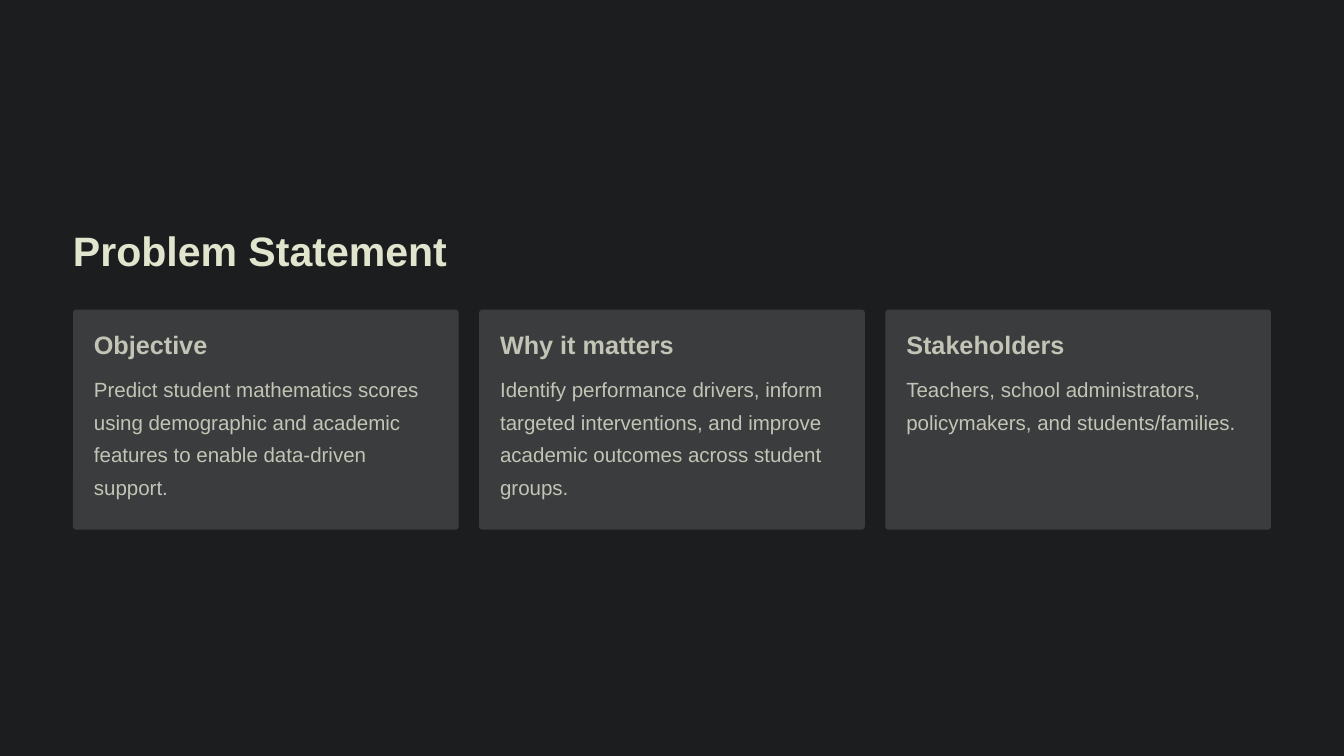
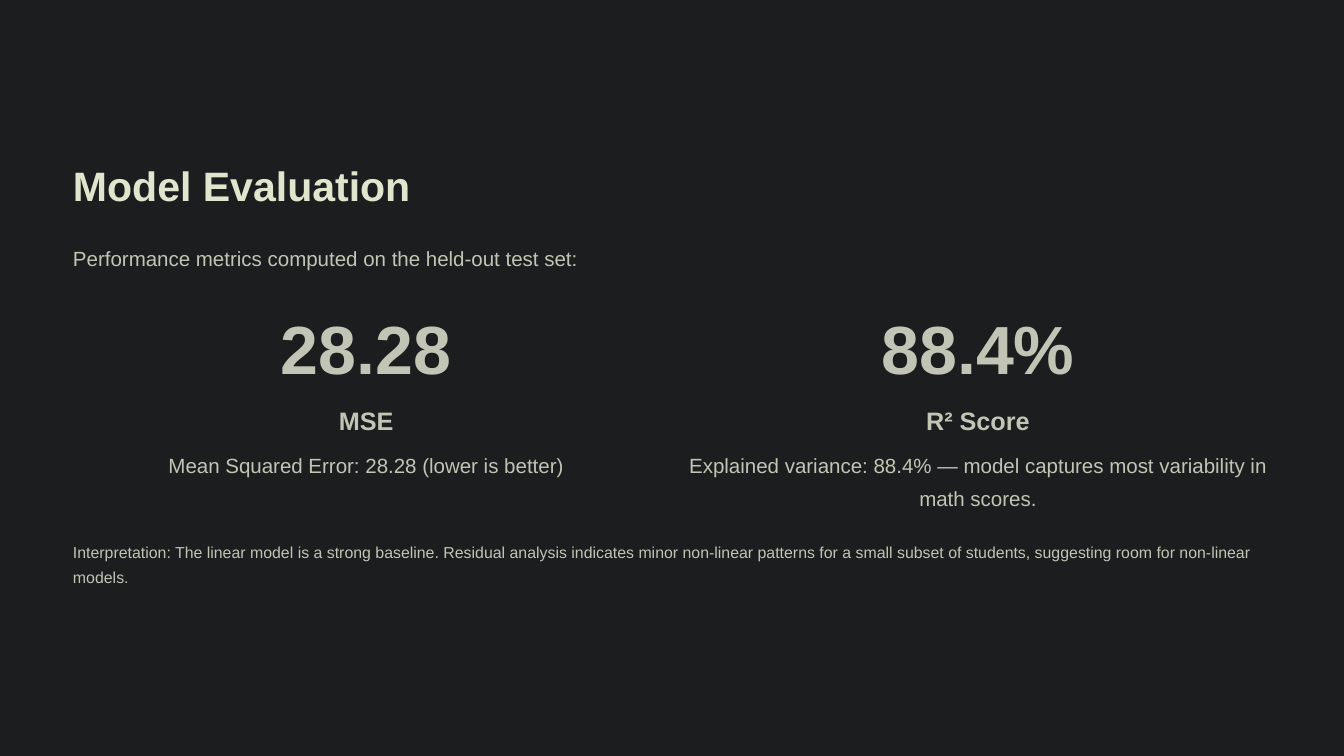
from dataclasses import dataclass

from pptx import Presentation
from pptx.dml.color import RGBColor
from pptx.enum.shapes import MSO_SHAPE
from pptx.enum.text import PP_ALIGN
from pptx.util import Cm, Pt

RECTANGLE, ROUNDED = MSO_SHAPE.RECTANGLE, MSO_SHAPE.ROUNDED_RECTANGLE
LEFT, CENTER = PP_ALIGN.LEFT, PP_ALIGN.CENTER

BACKDROP_FILLS = ("0B1012", "1C1D1F")
CARD_FILL = "3B3C3E"
TITLE_COLOR, TEXT_COLOR = "E1E5CD", "C2C4B5"
FONT = "Arial"

# Lengths in centimetres
SLIDE_WIDTH, SLIDE_HEIGHT = 50.8, 28.58
MARGIN = 2.76
CONTENT_WIDTH = SLIDE_WIDTH - 2 * MARGIN
HEADING_WIDTH = 9.86
HEADING_TO_BODY = 1.52


@dataclass
class TextStyle:
    """Size and leading in points, height of a one-line box in centimetres."""
    size: float
    leading: float
    height: float
    bold: bool = False
    color: str = TEXT_COLOR


TITLE = TextStyle(44, 54.9, 2.08, True, TITLE_COLOR)
HEADING = TextStyle(27, 33.7, 1.32, True)
BODY = TextStyle(22, 35.1, 1.52)
FIGURE = TextStyle(73, 72.7, 2.29, True)
NOTE = TextStyle(17, 27.1, 1.28)


def rgb(value):
    return RGBColor.from_string(value)


def columns(count, gap):
    """Return the left edges and the common width of equal columns."""
    width = (CONTENT_WIDTH - gap * (count - 1)) / count
    return [MARGIN + i * (width + gap) for i in range(count)], width


class Deck:
    def __init__(self):
        self.prs = Presentation()
        self.prs.slide_width, self.prs.slide_height = Cm(SLIDE_WIDTH), Cm(SLIDE_HEIGHT)
        self.slide = None

    def add_slide(self, title, title_top):
        self.slide = self.prs.slides.add_slide(self.prs.slide_layouts[6])
        for color in BACKDROP_FILLS:
            self.panel(RECTANGLE, 0, 0, SLIDE_WIDTH, SLIDE_HEIGHT, color)
        self.text(title, MARGIN, title_top, 18.29, TITLE)

    def panel(self, outline, left, top, width, height, color):
        panel = self.slide.shapes.add_shape(
            outline, Cm(left), Cm(top), Cm(width), Cm(height))
        panel.shadow.inherit = False
        panel.fill.solid()
        panel.fill.fore_color.rgb = rgb(color)
        panel.line.fill.background()
        return panel

    def text(self, content, left, top, width, style, lines=1, align=LEFT):
        height = Cm(style.height) + (lines - 1) * Pt(style.leading)
        box = self.slide.shapes.add_textbox(Cm(left), Cm(top), Cm(width), height)
        frame = box.text_frame
        frame.word_wrap = True
        frame.margin_left = frame.margin_right = 0
        frame.margin_top = frame.margin_bottom = 0
        paragraph = frame.paragraphs[0]
        paragraph.text = content
        paragraph.alignment = align
        paragraph.line_spacing = Pt(style.leading)
        font = paragraph.font
        font.name, font.size, font.bold = FONT, Pt(style.size), style.bold
        font.color.rgb = rgb(style.color)

    def card(self, heading, body, left, width, lines):
        top, height, padding, radius = 11.71, 8.31, 0.79, 0.11
        panel = self.panel(ROUNDED, left, top, width, height, CARD_FILL)
        panel.adjustments[0] = radius / height
        heading_top = top + 0.71
        self.text(heading, left + padding, heading_top, HEADING_WIDTH, HEADING)
        self.text(body, left + padding, heading_top + HEADING_TO_BODY,
                  width - 2 * padding, BODY, lines)

    def metric(self, value, label, meaning, left, width, lines):
        label_top = 15.29
        label_left = left + (width - HEADING_WIDTH) / 2
        self.text(value, left, 12.09, width, FIGURE, align=CENTER)
        self.text(label, label_left, label_top, HEADING_WIDTH, HEADING, align=CENTER)
        self.text(meaning, left, label_top + HEADING_TO_BODY, width, BODY,
                  lines, CENTER)


def problem_slide(deck):
    deck.add_slide("Problem Statement", 8.46)
    cards = [
        ("Objective", "Predict student mathematics scores using demographic and "
         "academic features to enable data-driven support.", 4),
        ("Why it matters", "Identify performance drivers, inform targeted "
         "interventions, and improve academic outcomes across student groups.", 4),
        ("Stakeholders", "Teachers, school administrators, policymakers, and "
         "students/families.", 3),
    ]
    lefts, width = columns(len(cards), 0.78)
    for left, (heading, body, lines) in zip(lefts, cards):
        deck.card(heading, body, left, width, lines)


def evaluation_slide(deck):
    deck.add_slide("Model Evaluation", 5.99)
    deck.text("Performance metrics computed on the held-out test set:",
              MARGIN, 8.99, 47.83, BODY)
    metrics = [
        ("28.28", "MSE", "Mean Squared Error: 28.28 (lower is better)", 1),
        ("88.4%", "R² Score", "Explained variance: 88.4% — model captures most "
         "variability in math scores.", 2),
    ]
    lefts, width = columns(len(metrics), 0.97)
    for left, (value, label, meaning, lines) in zip(lefts, metrics):
        deck.metric(value, label, meaning, left, width, lines)
    deck.text("Interpretation: The linear model is a strong baseline. Residual "
              "analysis indicates minor non-linear patterns for a small subset of "
              "students, suggesting room for non-linear models.",
              MARGIN, 20.27, CONTENT_WIDTH, NOTE, lines=2)


def main():
    deck = Deck()
    problem_slide(deck)
    evaluation_slide(deck)
    deck.prs.save("out.pptx")


if __name__ == "__main__":
    main()
